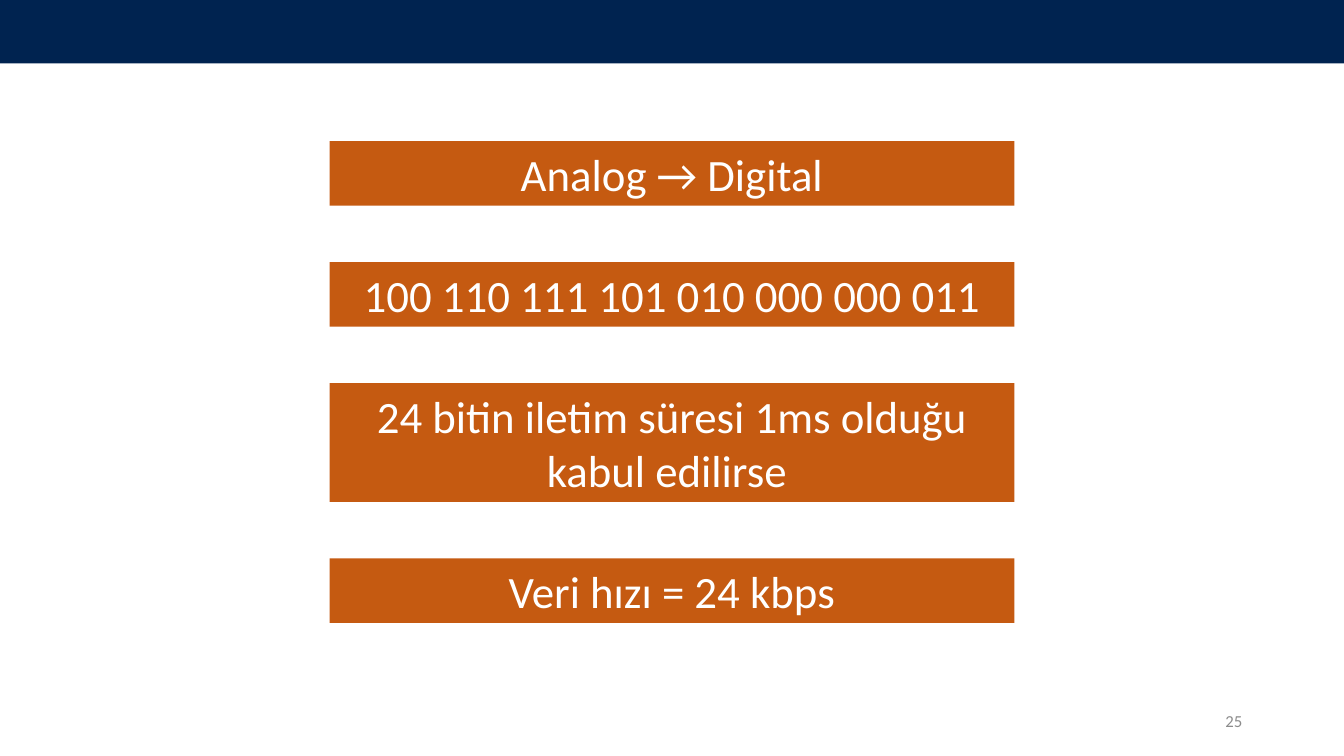
from pptx import Presentation
from pptx import util as u
from pptx.dml.color import RGBColor
from pptx.enum import shapes, text

NAVY = RGBColor(0x00, 0x23, 0x50)
ORANGE = RGBColor(0xC5, 0x5A, 0x11)
WHITE = RGBColor(0xFF, 0xFF, 0xFF)
GREY = RGBColor(0x8C, 0x8C, 0x8C)

WIDTH, HEIGHT = 13.33, 7.5
PANEL_WIDTH = 6.79
PANEL_LEFT = (WIDTH - PANEL_WIDTH) / 2
FIRST_TOP, GAP = 1.4, 0.56
LINE_HEIGHT, PADDING = 0.54, 0.1

# Wording of each panel and the number of lines it takes
PANELS = [
    ("Analog → Digital", 1),
    ("100 110 111 101 010 000 000 011", 1),
    ("24 bitin iletim süresi 1ms olduğu kabul edilirse ", 2),
    ("Veri hızı = 24 kbps", 1),
]


def inches(*lengths):
    return [u.Inches(length) for length in lengths]


def write(box, words, size, color, align):
    frame = box.text_frame
    frame.word_wrap = True
    frame.vertical_anchor = text.MSO_ANCHOR.MIDDLE
    para = frame.paragraphs[0]
    para.alignment = align
    span = para.add_run()
    span.text = words
    span.font.color.rgb = color
    for name, value in {"name": "Calibri", "size": u.Pt(size)}.items():
        setattr(span.font, name, value)


def add_bar(page, left, top, width, height, color):
    bar = page.shapes.add_shape(shapes.MSO_SHAPE.RECTANGLE,
                                *inches(left, top, width, height))
    bar.shadow.inherit = False
    bar.fill.solid()
    bar.fill.fore_color.rgb = color
    bar.line.fill.background()
    return bar


def add_panels(page):
    """Stack the panels with equal gaps, each as tall as its lines need."""
    top = FIRST_TOP
    for words, lines in PANELS:
        height = lines * LINE_HEIGHT + PADDING
        panel = add_bar(page, PANEL_LEFT, top, PANEL_WIDTH, height, ORANGE)
        write(panel, words, 32, WHITE, text.PP_ALIGN.CENTER)
        top += height + GAP


def add_page_number(page, number):
    box = page.shapes.add_textbox(*inches(9.42, 6.95, 3, 0.4))
    write(box, number, 12, GREY, text.PP_ALIGN.RIGHT)


def main():
    deck = Presentation()
    deck.slide_width, deck.slide_height = inches(WIDTH, HEIGHT)
    page = deck.slides.add_slide(deck.slide_layouts.get_by_name("Blank"))
    add_page_number(page, "25")
    add_bar(page, 0, 0, WIDTH, 0.63, NAVY)
    add_panels(page)
    deck.save("out.pptx")


if __name__ == "__main__":
    main()
